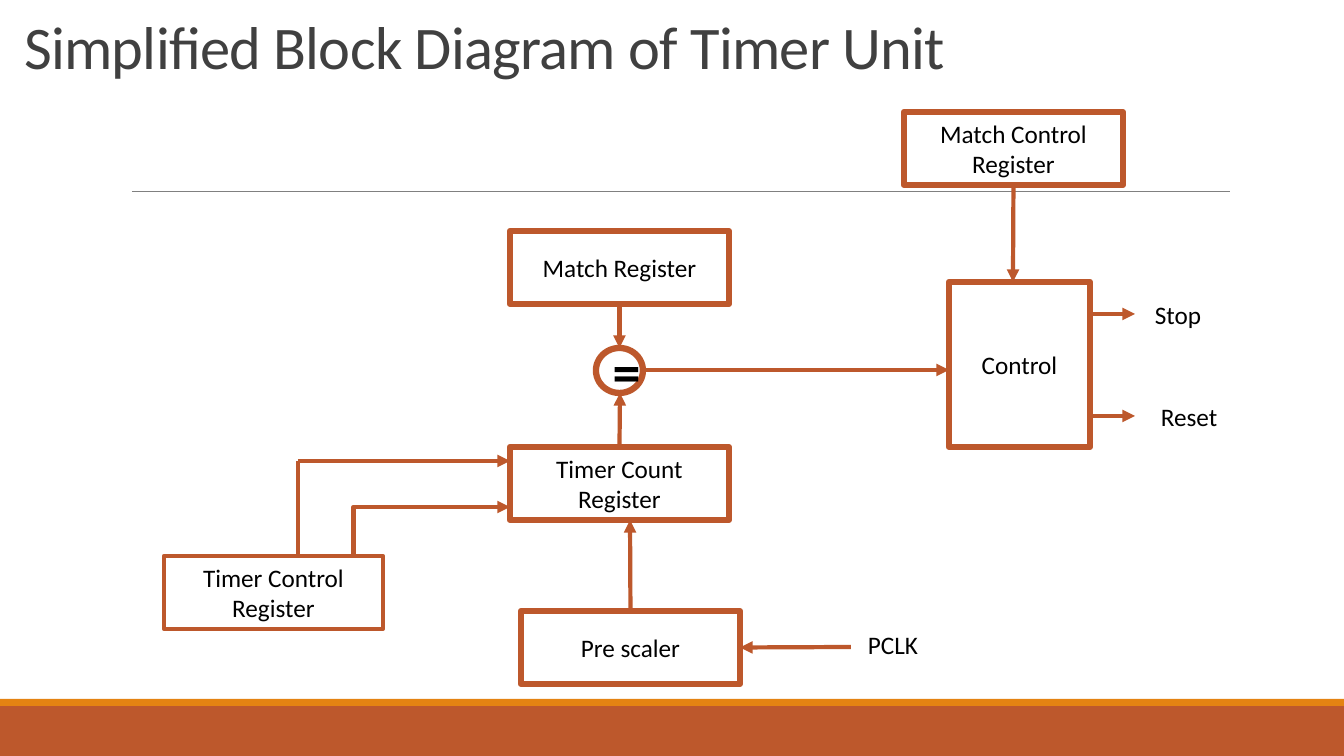
from lxml import etree
from pptx import Presentation
from pptx.dml.color import RGBColor
from pptx.enum.shapes import MSO_CONNECTOR, MSO_SHAPE
from pptx.enum.text import MSO_ANCHOR, MSO_AUTO_SIZE, PP_ALIGN
from pptx.oxml.ns import qn
from pptx.util import Emu, Pt

RECT, OVAL = MSO_SHAPE.RECTANGLE, MSO_SHAPE.OVAL
STRAIGHT, ELBOW = MSO_CONNECTOR.STRAIGHT, MSO_CONNECTOR.ELBOW
TOP, BOTTOM, RIGHT = 0, 2, 3
PX = 914400 / 100.8
FONT = "Calibri"
COLORS = {name: RGBColor.from_string(value) for name, value in {
    "rust": "BD582C", "orange": "E48312", "rule": "808080",
    "title": "404040", "text": "000000", "white": "FFFFFF"}.items()}


def px(*values):
    return [Emu(round(v * PX)) for v in values]


def style_text(tf, text, size, color="text", align=PP_ALIGN.LEFT, bold=False):
    tf.word_wrap = True
    tf.text = text
    p = tf.paragraphs[0]
    p.alignment = align
    font = p.runs[0].font
    font.name, font.size, font.bold = FONT, Pt(size), bold
    font.color.rgb = COLORS[color]


prs = Presentation()
prs.slide_width, prs.slide_height = px(1344, 756)
s = prs.slides.add_slide(prs.slide_layouts[5])

# Footer bands and rule
for top, height, color in [(706, 50, "rust"), (699, 7, "orange")]:
    band = s.shapes.add_shape(RECT, *px(0, top, 1344, height))
    band.shadow.inherit = False
    band.fill.solid()
    band.fill.fore_color.rgb = COLORS[color]
    band.line.fill.background()

rule = s.shapes.add_connector(STRAIGHT, *px(132, 191, 1230, 191))
rule.line.color.rgb = COLORS["rule"]
rule.line.width = Pt(0.5)
etree.SubElement(rule._element.spPr, qn("a:effectLst"))

# Title
title = s.shapes.title
title.left, title.top, title.width, title.height = px(14, 17, 1109, 70)
tf = title.text_frame
style_text(tf, "Simplified Block Diagram of Timer Unit", 43.2, "title")
tf.auto_size = MSO_AUTO_SIZE.NONE
tf.vertical_anchor = MSO_ANCHOR.BOTTOM
tf.paragraphs[0].line_spacing = 0.85
tf.paragraphs[0].runs[0].font._element.set("spc", "-50")

# Blocks: text, shape, left, top, width, height, line width, text size
REGISTER = (219, 73)
blocks = {}
for text, kind, left, top, (width, height), line, size in [
    ("Match Register", RECT, 510, 231, REGISTER, 4.5, 18),
    ("Timer Count Register", RECT, 510, 447, REGISTER, 4.5, 18),
    ("Pre scaler", RECT, 521, 611, REGISTER, 4.5, 18),
    ("Timer Control Register", RECT, 164, 556, REGISTER, 3, 18),
    ("Match Control Register", RECT, 904, 112, REGISTER, 4.5, 18),
    ("Control", RECT, 949, 282, (141, 165), 4.5, 18),
    ("=", OVAL, 596, 348, (47, 45), 4.5, 40),
]:
    sp = s.shapes.add_shape(kind, *px(left, top, width, height))
    sp.shadow.inherit = False
    sp.fill.solid()
    sp.fill.fore_color.rgb = COLORS["white"]
    sp.line.color.rgb = COLORS["rust"]
    sp.line.width = Pt(line)
    sp.text_frame.vertical_anchor = MSO_ANCHOR.MIDDLE
    style_text(sp.text_frame, text, size, align=PP_ALIGN.CENTER, bold=kind == OVAL)
    blocks[text] = sp

# Signals: kind, from, to, arrowhead, joined start, joined end
for kind, start, end, arrow, begin_at, end_at in [
    (ELBOW, (197, 556), (510, 507), True, None, None),
    (STRAIGHT, (298, 461), (510, 461), True, None, None),
    (STRAIGHT, (298, 461), (298, 556), False, None, None),
    (STRAIGHT, (630, 611), (630, 520), True, ("Pre scaler", TOP), None),
    (STRAIGHT, (620, 447), (620, 393), True, ("Timer Count Register", TOP), None),
    (STRAIGHT, (620, 304), (620, 348), True, ("Match Register", BOTTOM), ("=", TOP)),
    (STRAIGHT, (1013, 185), (1013, 282), True, ("Match Control Register", BOTTOM), None),
    (STRAIGHT, (643, 370), (949, 370), True, None, None),
    (STRAIGHT, (1090, 314), (1135, 314), True, None, None),
    (STRAIGHT, (1090, 416), (1135, 416), True, None, None),
    (STRAIGHT, (851, 647), (740, 647), True, None, ("Pre scaler", RIGHT)),
]:
    signal = s.shapes.add_connector(kind, *px(*start, *end))
    if begin_at:
        signal.begin_connect(blocks[begin_at[0]], begin_at[1])
    if end_at:
        signal.end_connect(blocks[end_at[0]], end_at[1])
    signal.line.color.rgb = COLORS["rust"]
    signal.line.width = Pt(3)
    if arrow:
        etree.SubElement(signal.line._get_or_add_ln(), qn("a:tailEnd"), type="triangle")
    etree.SubElement(signal._element.spPr, qn("a:effectLst"))

# Signal names
for text, left, top, width in [
    ("Stop", 1145, 294, 155), ("Reset", 1151, 396, 124), ("PCLK", 858, 624, 110),
]:
    label = s.shapes.add_textbox(*px(left, top, width, 40))
    style_text(label.text_frame, text, 18)

prs.save("out.pptx")
